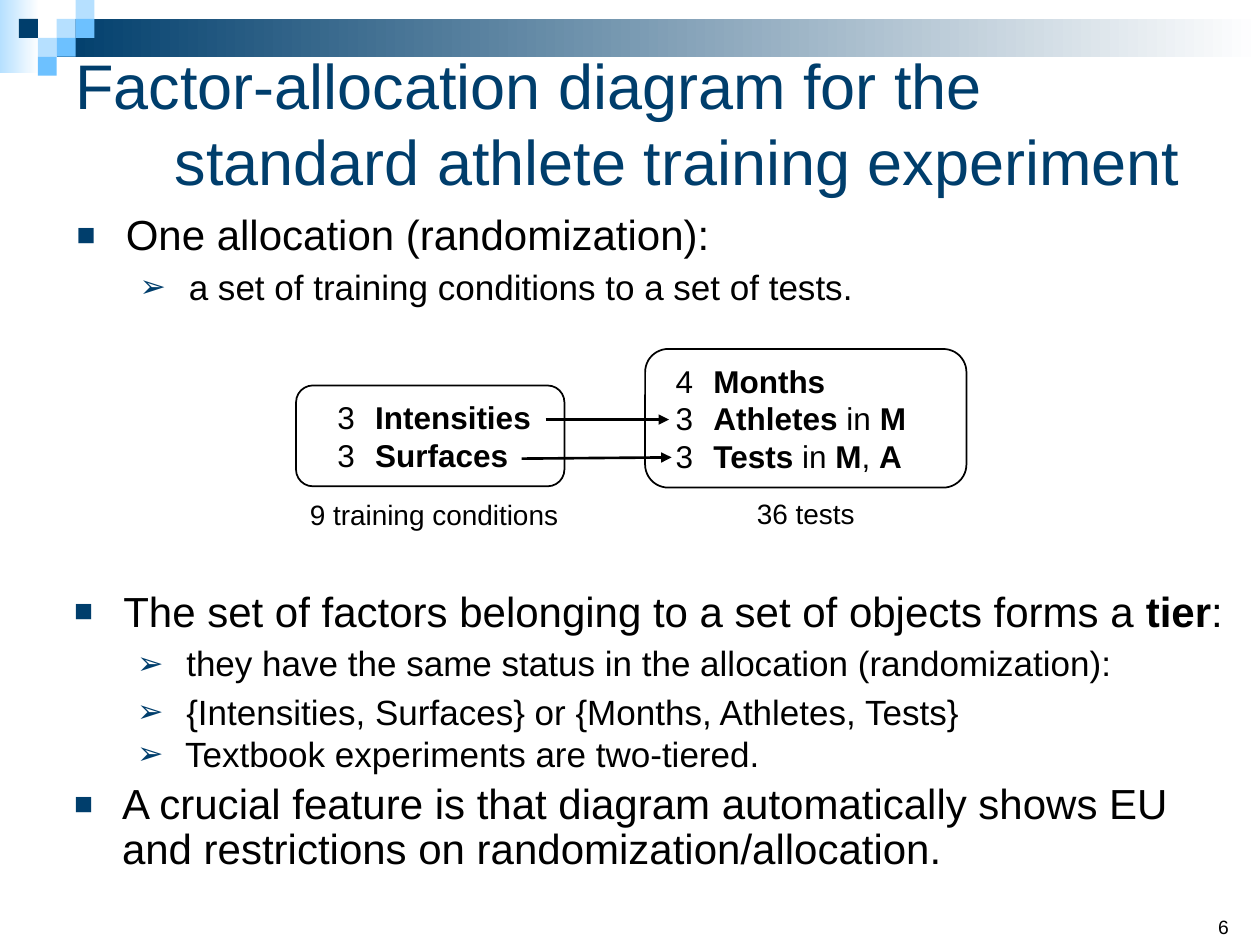
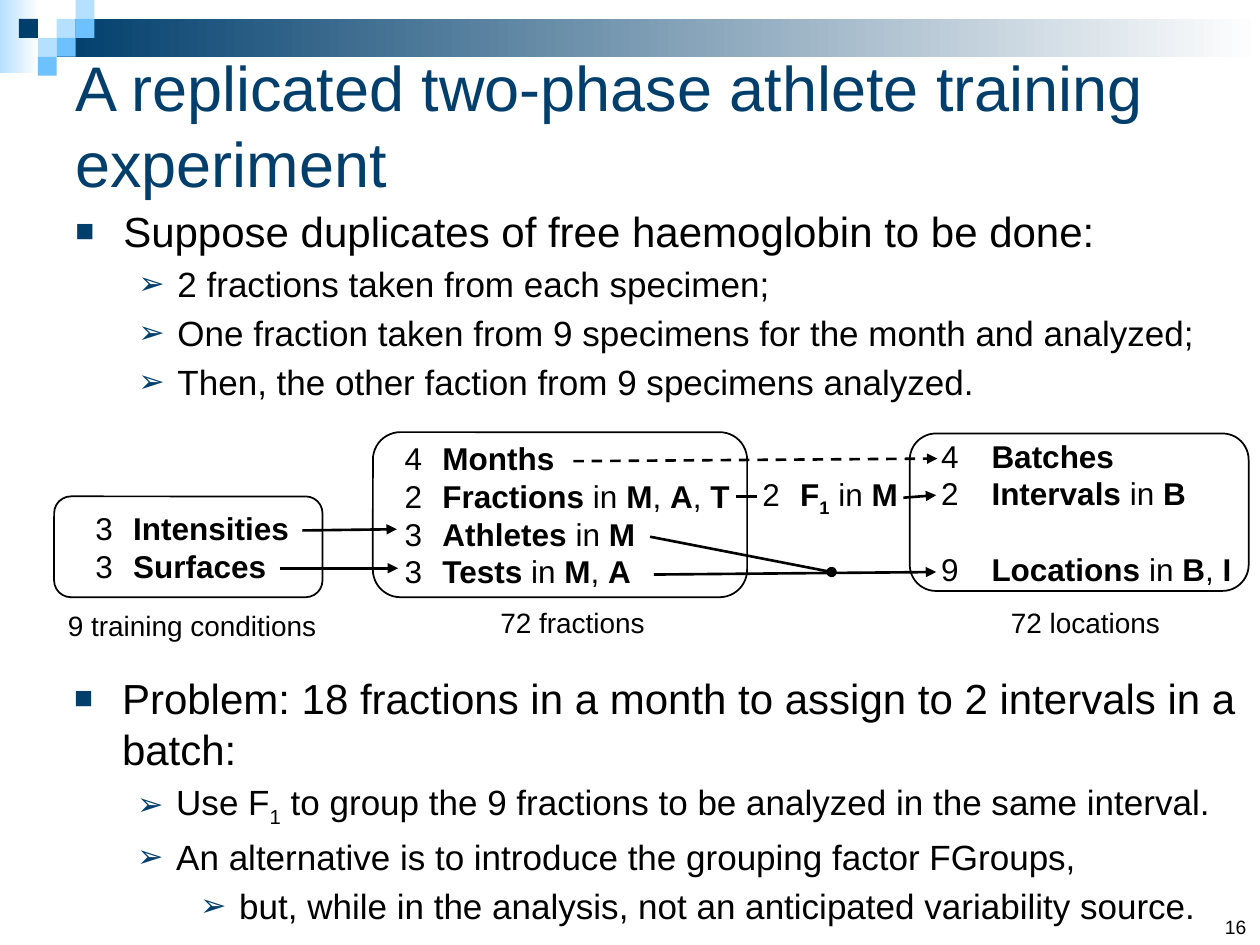
"""Build two slides of factor-allocation diagrams for athlete training experiments."""
from dataclasses import dataclass
from typing import Any, NamedTuple

from lxml import etree
from pptx import Presentation
from pptx.dml.color import RGBColor
from pptx.enum.dml import MSO_LINE
from pptx.enum.shapes import MSO_CONNECTOR, MSO_SHAPE
from pptx.enum.text import MSO_ANCHOR, PP_ALIGN
from pptx.oxml.ns import qn
from pptx.util import Inches, Pt

RECTANGLE, ROUNDED = MSO_SHAPE.RECTANGLE, MSO_SHAPE.ROUNDED_RECTANGLE
STRAIGHT, DASH = MSO_CONNECTOR.STRAIGHT, MSO_LINE.DASH
TOP, MIDDLE, BOTTOM = MSO_ANCHOR.TOP, MSO_ANCHOR.MIDDLE, MSO_ANCHOR.BOTTOM
LEFT, CENTER, RIGHT = PP_ALIGN.LEFT, PP_ALIGN.CENTER, PP_ALIGN.RIGHT


@dataclass(frozen=True)
class Theme:
    """Colours, font and type sizes shared by the slides."""
    font: str = "Arial"
    navy: str = "003E6C"
    sky: str = "6DC1FF"
    pale: str = "B6E0FF"
    white: str = "FFFFFF"
    black: str = "000000"
    title: int = 36
    point: int = 24
    subpoint: int = 20
    factor: int = 18
    caption: int = 16
    number: int = 11


THEME = Theme()
TILE = 0.15
TILES = [(3, 1, THEME.pale), (4, 0, THEME.pale), (4, 1, THEME.sky), (2, 2, THEME.pale),
         (1, 1, THEME.navy), (3, 2, THEME.sky), (2, 3, THEME.sky)]
BANDS = [((0, 0, 0.31, 0.58), THEME.pale), ((0.45, 0.15, 9.55, 0.3), THEME.navy)]


class Area(NamedTuple):
    """Left, top, width and height in inches."""
    left: float
    top: float
    width: float
    height: float


class Level(NamedTuple):
    """Bullet mark, indents and spacing of one outline level."""
    depth: int
    margin: float
    hang: float
    before: float
    spacing: float = 1.0

    @property
    def size(self) -> int:
        """Return the type size of the level."""
        return THEME.subpoint if self.depth else THEME.point

    @property
    def mark(self) -> tuple[str, int]:
        """Return the bullet character and its size in percent."""
        return ("➢", 90) if self.depth else ("■", 75)


class Tier(NamedTuple):
    """A panel of factors, with its number of objects below."""
    area: Area
    factors: list[str]
    margin: float = 0.39
    hang: float = 0.3
    caption: str = ""
    caption_area: Area | None = None
    outlined: bool = True
    gap_before_last: float = 0


class Link(NamedTuple):
    """A line between factors."""
    start: tuple[float, float]
    end: tuple[float, float]
    tip: str = "triangle"
    dashed: bool = False


class Outline(NamedTuple):
    """A block of bulleted lines."""
    area: Area
    lines: list[tuple[Level, str]]


@dataclass(frozen=True)
class DiagramSlide:
    """The content of one slide."""
    title: str
    title_area: Area
    title_hang: float
    number: str
    number_align: Any
    outlines: list[Outline]
    tiers: list[Tier]
    links: list[Link]


def apply(target: Any, **values: Any) -> None:
    """Set each given attribute on the target."""
    for name, value in values.items():
        setattr(target, name, value)


def rgb(colour: str) -> RGBColor:
    """Turn a hex code into a colour."""
    return RGBColor.from_string(colour)


def place(area: Area) -> list[int]:
    """Turn an area into lengths."""
    return [Inches(length) for length in area]


def add_runs(paragraph: Any, text: str, size: int, colour: str = THEME.black) -> None:
    """Write text in which * toggles bold and ~ toggles subscript."""
    for bold_turn, stretch in enumerate(text.split("*")):
        for sub_turn, piece in enumerate(stretch.split("~")):
            if not piece:
                continue
            run = paragraph.add_run()
            run.text = piece
            apply(run.font, name=THEME.font, size=Pt(size), bold=bold_turn % 2 == 1)
            run.font.color.rgb = rgb(colour)
            if sub_turn % 2:
                run.font._element.set("baseline", "-25000")


def indent(paragraph: Any, margin: float, hang: float) -> None:
    """Give a paragraph a hanging indent."""
    properties = paragraph._p.get_or_add_pPr()
    properties.set("marL", str(Inches(margin)))
    properties.set("indent", str(-Inches(hang)))


def add_bullet(paragraph: Any, level: Level) -> None:
    """Give a paragraph the spacing, indent and mark of its level."""
    apply(paragraph, level=level.depth, space_before=Pt(level.before),
          line_spacing=level.spacing)
    indent(paragraph, level.margin, level.hang)
    properties = paragraph._p.get_or_add_pPr()
    mark, percent = level.mark
    colour = etree.SubElement(properties, qn("a:buClr"))
    etree.SubElement(colour, qn("a:srgbClr"), val=THEME.navy)
    etree.SubElement(properties, qn("a:buSzPct"), val=str(percent * 1000))
    etree.SubElement(properties, qn("a:buFont"), typeface=THEME.font)
    etree.SubElement(properties, qn("a:buChar"), char=mark)


def add_text(slide: Any, area: Area, text: str, size: int, colour: str = THEME.black,
             anchor: Any = TOP, align: Any = LEFT, hang: float = 0) -> None:
    """Add a text box of one paragraph."""
    frame = slide.shapes.add_textbox(*place(area)).text_frame
    apply(frame, word_wrap=True, vertical_anchor=anchor)
    paragraph = frame.paragraphs[0]
    paragraph.alignment = align
    indent(paragraph, hang, hang)
    add_runs(paragraph, text, size, colour)


def add_outline(slide: Any, outline: Outline) -> None:
    """Add a block of bulleted lines."""
    frame = slide.shapes.add_textbox(*place(outline.area)).text_frame
    frame.word_wrap = True
    for position, (level, text) in enumerate(outline.lines):
        paragraph = frame.add_paragraph() if position else frame.paragraphs[0]
        add_bullet(paragraph, level)
        add_runs(paragraph, text, level.size)


def add_block(slide: Any, area: Area, colour: str, fades: bool = False) -> None:
    """Add a borderless rectangle, plain or fading to white."""
    block = slide.shapes.add_shape(RECTANGLE, *place(area))
    block.shadow.inherit = False
    block.line.fill.background()
    if fades:
        block.fill.gradient()
        block.fill.gradient_angle = 0
        for stop, shade in zip(block.fill.gradient_stops, (colour, THEME.white)):
            stop.color.rgb = rgb(shade)
    else:
        block.fill.solid()
        block.fill.fore_color.rgb = rgb(colour)


def add_header(slide: Any) -> None:
    """Draw the fading bands and the mosaic of tiles."""
    for band, colour in BANDS:
        add_block(slide, Area(*band), colour, fades=True)
    for column, row, colour in TILES:
        add_block(slide, Area(column * TILE, row * TILE, TILE, TILE), colour)


def add_tier(slide: Any, tier: Tier) -> None:
    """Draw a panel of factors and its caption."""
    panel = slide.shapes.add_shape(ROUNDED, *place(tier.area))
    panel.shadow.inherit = False
    panel.fill.background()
    if tier.outlined:
        panel.line.color.rgb = rgb(THEME.black)
        panel.line.width = Pt(1)
    else:
        panel.line.fill.background()
    frame = panel.text_frame
    apply(frame, word_wrap=False, vertical_anchor=MIDDLE)
    for position, factor in enumerate(tier.factors):
        paragraph = frame.add_paragraph() if position else frame.paragraphs[0]
        paragraph.alignment = LEFT
        indent(paragraph, tier.margin, tier.hang)
        add_runs(paragraph, factor, THEME.factor)
    if tier.gap_before_last:
        frame.paragraphs[-1].space_before = Pt(tier.gap_before_last)
    if tier.caption_area:
        add_text(slide, tier.caption_area, tier.caption, THEME.caption, align=CENTER)


def add_link(slide: Any, link: Link) -> None:
    """Draw a line with its tip."""
    ends = [Inches(length) for length in (*link.start, *link.end)]
    connector = slide.shapes.add_connector(STRAIGHT, *ends)
    connector.line.color.rgb = rgb(THEME.black)
    connector.line.width = Pt(1.5)
    if link.dashed:
        connector.line.dash_style = DASH
    etree.SubElement(connector.line._get_or_add_ln(), qn("a:tailEnd"), type=link.tip)
    etree.SubElement(connector._element.spPr, qn("a:effectLst"))


def training_tier(left: float, top: float) -> Tier:
    """Return the tier of training conditions at a position."""
    return Tier(Area(left, top, 2.13, 0.8), ["3\t*Intensities*", "3\t*Surfaces*"], 0.49,
                caption="9 training conditions",
                caption_area=Area(left - 0.04, top + 0.84, 2.27, 0.37))


def add_slide(deck: Any, content: DiagramSlide) -> None:
    """Add one slide with header, title, outlines and diagram."""
    slide = deck.slides.add_slide(deck.slide_layouts[6])
    add_header(slide)
    add_text(slide, content.title_area, content.title, THEME.title, THEME.navy, MIDDLE,
             hang=content.title_hang)
    add_text(slide, Area(9.57, 7, 0.42, 0.5), content.number, THEME.number,
             anchor=BOTTOM, align=content.number_align)
    for draw, parts in ((add_outline, content.outlines), (add_tier, content.tiers),
                        (add_link, content.links)):
        for part in parts:
            draw(slide, part)


TIGHT_POINT, TIGHT_SUB = Level(0, 0.39, 0.39, 6, 0.9), Level(1, 0.89, 0.39, 6, 0.9)
CLOSE_SUB, LAST_POINT = Level(1, 0.88, 0.38, 0), Level(0, 0.38, 0.38, 4.8, 0.9)
POINT, SUB, SUBSUB = Level(0, 0.38, 0.38, 4.8), Level(1, 0.81, 0.31, 4), Level(2, 1.31, 0.31, 4)
ATHLETES, TESTS = "3\t*Athletes *in *M*", "3\t*Tests *in *M*, *A*"

STANDARD = DiagramSlide(
    "Factor-allocation diagram for the standard athlete training experiment",
    Area(0.5, 0.42, 9, 1.1), 0.79, "6", LEFT,
    [Outline(Area(0.51, 1.65, 9.49, 1), [
        (TIGHT_POINT, "One allocation (randomization):"),
        (TIGHT_SUB, "a set of training conditions to a set of tests.")]),
     Outline(Area(0.49, 4.64, 9.49, 2.5), [
         (TIGHT_POINT, "The set of factors belonging to a set of objects forms a *tier*:"),
         (TIGHT_SUB, "they have the same status in the allocation (randomization):"),
         (TIGHT_SUB, "{Intensities, Surfaces} or {Months, Athletes, Tests}"),
         (CLOSE_SUB, "Textbook experiments are two-tiered."),
         (LAST_POINT, "A crucial feature is that diagram automatically shows EU "
                      "and restrictions on randomization/allocation.")])],
    [training_tier(2.35, 3.06),
     Tier(Area(5.12, 2.77, 2.55, 1.1), ["4\t*Months*", ATHLETES, TESTS],
          caption="36 tests", caption_area=Area(5.43, 3.89, 1.93, 0.37))],
    [Link((4.33, 3.33), (5.31, 3.33)), Link((4.14, 3.64), (5.33, 3.63))])

REPLICATED = DiagramSlide(
    "A replicated two-phase athlete training experiment",
    Area(0.5, 0.44, 9.27, 1.09), 0, "16", RIGHT,
    [Outline(Area(0.5, 1.58, 9.25, 1.81), [
        (POINT, "Suppose duplicates of free haemoglobin to be done:"),
        (SUB, "2 fractions taken from each specimen;"),
        (SUB, "One fraction taken from 9 specimens for the month and analyzed;"),
        (SUB, "Then, the other faction from 9 specimens analyzed.")]),
     Outline(Area(0.49, 5.29, 9.51, 2.12), [
         (POINT, "Problem: 18 fractions in a month to assign to 2 intervals in a batch:"),
         (SUB, "Use F~1~ to group the 9 fractions to be analyzed in the same interval."),
         (SUB, "An alternative is to introduce the grouping factor FGroups,"),
         (SUBSUB, "but, while in the analysis, not an anticipated variability source.")])],
    [training_tier(0.43, 3.94),
     Tier(Area(2.96, 3.43, 2.97, 1.31),
          ["4\t*Months*", "2\t*Fractions* in *M*, *A*, *T*", ATHLETES, TESTS],
          caption="72 fractions", caption_area=Area(3.58, 4.76, 1.93, 0.37)),
     Tier(Area(7.22, 3.44, 2.69, 1.25),
          ["4*\tBatches*", "2\t*Intervals* in *B*", "9\t*Locations* in *B*, *I*"], 0.49, 0.4,
          "72 locations", Area(7.65, 4.76, 1.93, 0.37), gap_before_last=21.5),
     Tier(Area(5.93, 3.71, 1.39, 0.46), ["2\t*F~1~* in *M*"], 0.3, outlined=False)],
    [Link((2.4, 4.21), (3.15, 4.2)), Link((2.22, 4.51), (3.16, 4.51)),
     Link((4.55, 3.66), (7.44, 3.64), dashed=True), Link((5.19, 4.56), (7.43, 4.54)),
     Link((5.16, 4.26), (6.6, 4.54), "oval"), Link((7.17, 3.95), (7.43, 3.93)),
     Link((5.84, 3.94), (6.01, 3.94), "none")])


def main() -> None:
    """Build and save the presentation."""
    deck = Presentation()
    apply(deck, slide_width=Inches(10), slide_height=Inches(7.5))
    for content in (STANDARD, REPLICATED):
        add_slide(deck, content)
    deck.save("out.pptx")


if __name__ == "__main__":
    main()
